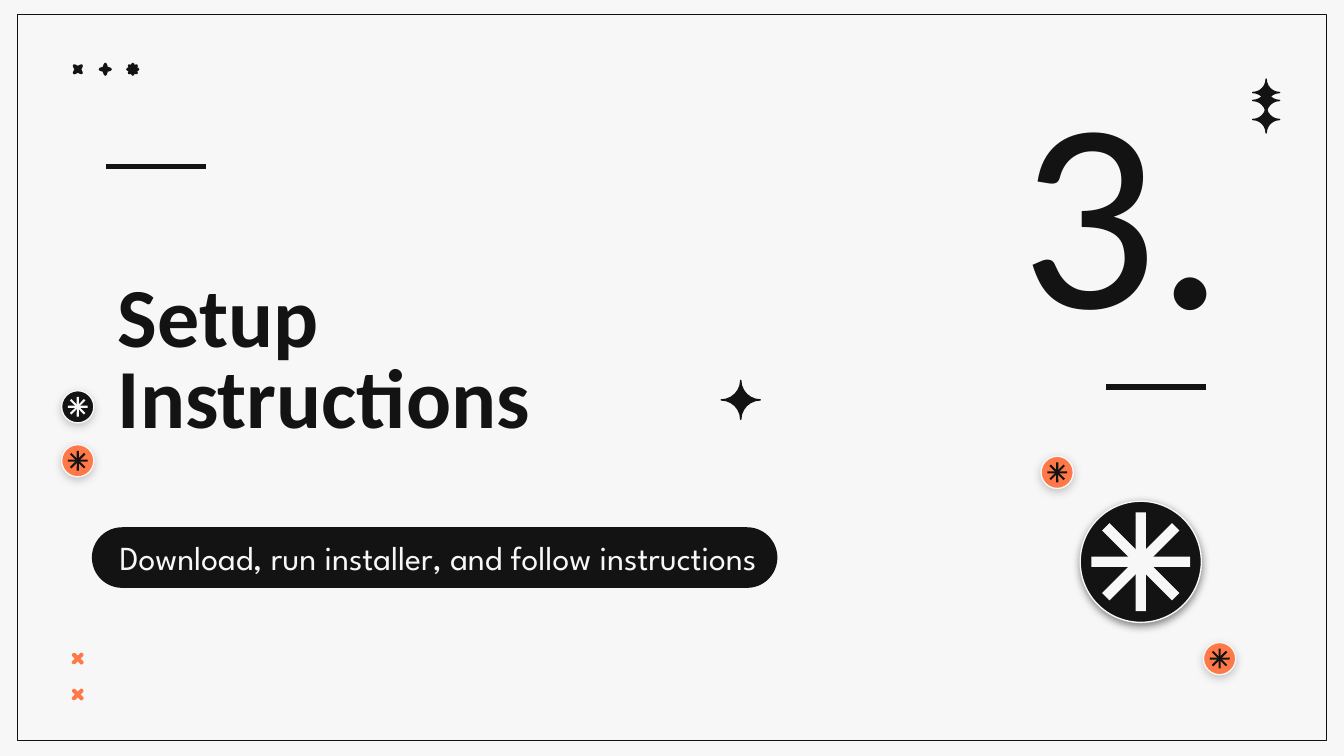
from lxml.etree import SubElement
from pptx import Presentation
from pptx.dml.color import RGBColor
from pptx.enum.shapes import MSO_CONNECTOR, MSO_SHAPE
from pptx.enum.text import MSO_ANCHOR, PP_ALIGN
from pptx.oxml.ns import qn
from pptx.util import Cm, Pt

INK, PAPER, CORAL, GREY = "131313", "F7F7F7", "FF7847", "4E4E4E"
LEFT = 1.47  # centre of the ornament column


def color(code):
    return RGBColor.from_string(code)


def add_form(parent, kind, x, y, w, h, fill=None, line=None, width=0.75,
             adj=None, turn=0):
    form = parent.shapes.add_shape(kind, Cm(x), Cm(y), Cm(w), Cm(h))
    form.shadow.inherit = False
    form.rotation = turn
    if adj is not None:
        form.adjustments[0] = adj
    if fill:
        form.fill.solid()
        form.fill.fore_color.rgb = color(fill)
    else:
        form.fill.background()
    if line:
        form.line.color.rgb = color(line)
        form.line.width = Pt(width)
    else:
        form.line.fill.background()
    return form


def add_mid(parent, kind, x, y, w, h, **style):
    """Add a form by its centre."""
    return add_form(parent, kind, x - w / 2, y - h / 2, w, h, **style)


def add_shade(form, code, alpha):
    """Give a form a soft shadow that falls straight down."""
    effects = form._element.spPr.find(qn("a:effectLst"))
    outer = SubElement(effects, qn("a:outerShdw"), blurRad=str(Pt(4.5)),
                       dist=str(Pt(1.5)), dir="5400000", algn="bl",
                       rotWithShape="0")
    tint = SubElement(outer, qn("a:srgbClr"), val=code)
    SubElement(tint, qn("a:alpha"), val=str(alpha * 1000))


def add_badge(slide, x, y, fill, mark, size=0.61, cross=0.51, shade=GREY,
              alpha=30):
    """Add a disc with an eight-armed star."""
    group = slide.shapes.add_group_shape()
    disc = add_mid(group, MSO_SHAPE.OVAL, x, y, size, size, fill=fill,
                   line=PAPER)
    add_shade(disc, shade, alpha)
    for turn in (0, 45):
        add_mid(group, MSO_SHAPE.MATH_MULTIPLY, x, y, cross, cross, fill=mark,
                adj=0.077, turn=turn)


def add_bloom(slide, x, y, turns):
    """Add a tiny flower of crossed ovals."""
    group = slide.shapes.add_group_shape()
    for turn in turns:
        add_mid(group, MSO_SHAPE.OVAL, x, y, 0.25, 0.1, fill=INK, turn=turn)
    add_mid(group, MSO_SHAPE.OVAL, x, y, 0.1, 0.1, fill=INK)


def add_spark(slide, x, y, size):
    add_mid(slide, MSO_SHAPE.PLAQUE, x, y, size, size, fill=INK, line=INK,
            adj=0.5)


def add_rule(slide, x, y):
    rule = slide.shapes.add_connector(MSO_CONNECTOR.STRAIGHT, Cm(x), Cm(y),
                                      Cm(x + 1.9), Cm(y))
    rule.line.color.rgb = color(INK)
    rule.line.width = Pt(3)
    SubElement(rule._element.spPr, qn("a:effectLst"))


def add_text(slide, text, x, y, w, h, size, font="Calibri", code=INK,
             bold=False, align=PP_ALIGN.LEFT, lead=1.0):
    box = slide.shapes.add_textbox(Cm(x), Cm(y), Cm(w), Cm(h))
    frame = box.text_frame
    frame.word_wrap = True
    frame.vertical_anchor = MSO_ANCHOR.MIDDLE
    frame.margin_left = frame.margin_right = Cm(0.25)
    frame.margin_top = frame.margin_bottom = Cm(0.25)
    frame.text = text
    for para in frame.paragraphs:
        para.alignment = align
        para.line_spacing = lead
        for run in para.runs:
            run.font.size = Pt(size)
            run.font.name = font
            run.font.bold = bold
            run.font.color.rgb = color(code)


def add_decor(slide):
    """Add the frame and the ornaments along its edges."""
    add_form(slide, MSO_SHAPE.RECTANGLE, 0.33, 0.28, 24.74, 13.72, line=INK)
    for y in (13.13, 12.45):
        add_mid(slide, MSO_SHAPE.MATH_MULTIPLY, LEFT, y, 0.3, 0.3,
                line=CORAL, width=1.5, adj=0.077)
    blooms = ((135, 45), (0, 90), (135, 45, 0, 90))
    for i, turns in enumerate(blooms):
        add_bloom(slide, LEFT + 0.52 * i, 1.31, turns)
    for y in (2.26, 1.75, 1.9):
        add_spark(slide, 23.93, y, 0.51)
    add_badge(slide, LEFT, 8.71, CORAL, INK)
    add_badge(slide, LEFT, 7.69, INK, PAPER)


def main():
    deck = Presentation()
    deck.slide_width, deck.slide_height = Cm(25.4), Cm(14.29)
    slide = deck.slides.add_slide(deck.slide_layouts[6])
    slide.background.fill.solid()
    slide.background.fill.fore_color.rgb = color(PAPER)

    add_decor(slide)
    add_form(slide, MSO_SHAPE.ROUNDED_RECTANGLE, 1.75, 9.98, 12.93, 1.12,
             fill=INK, line=INK, adj=0.5)
    add_text(slide, "Setup\nInstructions", 1.98, 4.39, 16.87, 4.98, 45,
             bold=True, lead=0.8)
    add_text(slide, "3.", 15.49, 1.4, 7.92, 4.78, 145, align=PP_ALIGN.RIGHT)
    add_text(slide, "Download, run installer, and follow instructions",
             2.01, 10.13, 14.07, 0.79, 18, font="League Spartan", code=PAPER)

    add_rule(slide, 20.9, 7.32)
    add_rule(slide, 2.0, 3.15)
    add_spark(slide, 14.0, 7.56, 0.74)
    add_badge(slide, 21.56, 10.62, INK, PAPER, size=2.29, cross=2.54,
              shade=INK, alpha=50)
    for x, y in ((23.05, 12.45), (19.98, 8.93)):
        add_badge(slide, x, y, CORAL, INK)

    deck.save("out.pptx")


if __name__ == "__main__":
    main()
